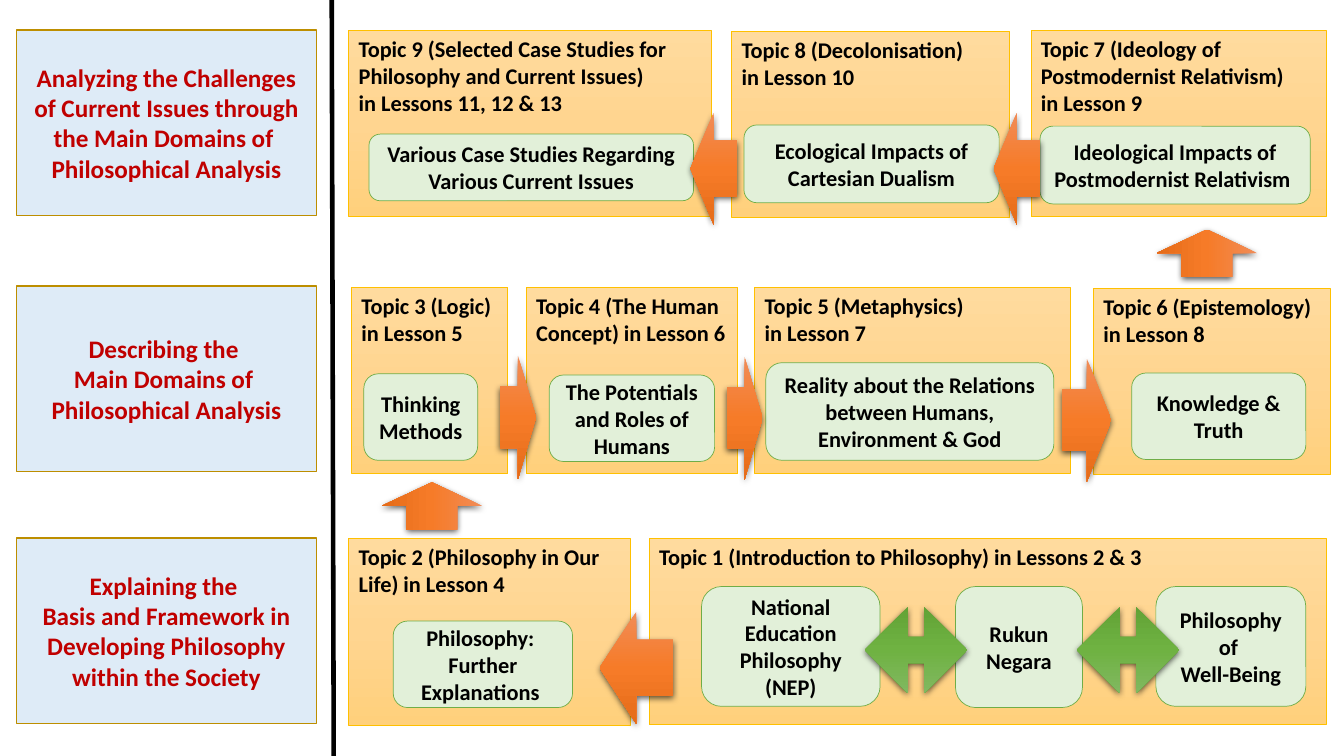
from typing import NamedTuple

from lxml import etree
from pptx import Presentation
from pptx.dml.color import RGBColor
from pptx.enum.shapes import MSO_CONNECTOR, MSO_SHAPE
from pptx.enum.text import MSO_ANCHOR, PP_ALIGN
from pptx.oxml.ns import qn
from pptx.util import Cm, Pt

RECT, ROUND = MSO_SHAPE.RECTANGLE, MSO_SHAPE.ROUNDED_RECTANGLE
LEFT, RIGHT = MSO_SHAPE.LEFT_ARROW, MSO_SHAPE.RIGHT_ARROW
BOTH = MSO_SHAPE.LEFT_RIGHT_ARROW
STRAIGHT = MSO_CONNECTOR.STRAIGHT
TOP, MIDDLE = MSO_ANCHOR.TOP, MSO_ANCHOR.MIDDLE
START, CENTER = PP_ALIGN.LEFT, PP_ALIGN.CENTER

COLORS = {
    "black": "000000", "red": "C00000", "gold": "FFC000", "brown": "BD8E00",
    "blue": "DEEBF7", "mint": "E2F0D9", "green": "70AD47",
}
BLENDS = {
    "amber": ("FFDB9E", "FFD590", "FFD07C"),
    "orange": ("F18C57", "F67B28", "E56C19"),
    "leaf": ("62A336", "6FB242", "81B861"),
}


class Style(NamedTuple):
    form: int
    fill: str
    line: str
    weight: float
    size: int
    ink: str
    anchor: int
    align: int


class Box(NamedTuple):
    style: Style
    left: float
    top: float
    width: float
    height: float
    text: str


class Arrow(NamedTuple):
    form: int
    left: float
    top: float
    width: float
    height: float
    turn: int = 0
    blend: str = "orange"


PANEL = Style(RECT, "blue", "brown", 1, 18, "red", MIDDLE, CENTER)
CARD = Style(RECT, "amber", "gold", 0.5, 16, "black", TOP, START)
PILL = Style(ROUND, "mint", "green", 0.5, 16, "black", MIDDLE, CENTER)

BOXES = [
    Box(PANEL, 0.41, 13.56, 7.57, 4.67,
        "Explaining the \nBasis and Framework in Developing Philosophy within the Society"),
    Box(PANEL, 0.41, 7.21, 7.57, 4.67,
        "Describing the \nMain Domains of \nPhilosophical Analysis"),
    Box(PANEL, 0.41, 0.76, 7.57, 4.67,
        "Analyzing the Challenges of Current Issues through the Main Domains of \n"
        "Philosophical Analysis"),
    Box(CARD, 16.36, 13.56, 17.07, 4.7,
        "Topic 1 (Introduction to Philosophy) in Lessons 2 & 3"),
    Box(PILL, 29.13, 14.78, 3.78, 3.02, "Philosophy of \nWell-Being"),
    Box(PILL, 17.68, 14.78, 4.5, 3.02, "National Education Philosophy (NEP)"),
    Box(PILL, 24.08, 14.78, 3.2, 3.05, "Rukun Negara"),
    Box(CARD, 8.79, 13.56, 7.09, 4.72, "Topic 2 (Philosophy in Our Life) in Lesson 4"),
    Box(PILL, 9.91, 15.65, 4.52, 2.18, "Philosophy: \nFurther Explanations "),
    Box(CARD, 8.86, 7.24, 3.94, 4.7, "Topic 3 (Logic) \nin Lesson 5"),
    Box(PILL, 9.17, 9.42, 2.87, 2.18, "Thinking Methods"),
    Box(CARD, 13.26, 7.24, 5.33, 4.7, "Topic 4 (The Human Concept) in Lesson 6"),
    Box(PILL, 13.84, 9.45, 4.17, 2.18, "The Potentials and Roles of Humans"),
    Box(CARD, 19.02, 7.24, 7.95, 4.7, "Topic 5 (Metaphysics) \nin Lesson 7"),
    Box(PILL, 19.3, 9.14, 7.26, 2.46,
        "Reality about the Relations between Humans, Environment & God"),
    Box(CARD, 27.56, 7.26, 5.97, 4.7, "Topic 6 (Epistemology) in Lesson 8"),
    Box(PILL, 28.52, 9.4, 4.39, 2.18, "Knowledge & Truth"),
    Box(CARD, 25.98, 0.76, 7.44, 4.7,
        "Topic 7 (Ideology of Postmodernist Relativism) \nin Lesson 9"),
    Box(PILL, 26.21, 3.18, 6.81, 1.96,
        "Ideological Impacts of Postmodernist Relativism "),
    Box(CARD, 18.44, 0.79, 7.01, 4.7, "Topic 8 (Decolonisation) \nin Lesson 10"),
    Box(PILL, 18.75, 3.15, 6.43, 1.96, "Ecological Impacts of Cartesian Dualism"),
    Box(CARD, 8.79, 0.76, 9.14, 4.7,
        "Topic 9 (Selected Case Studies for Philosophy and Current Issues) \n"
        "in Lessons 11, 12 & 13"),
    Box(PILL, 9.3, 3.38, 8.18, 1.68,
        "Various Case Studies Regarding Various Current Issues"),
]

ARROWS = [
    Arrow(LEFT, 15.11, 15.42, 1.85, 2.82),
    Arrow(LEFT, 10.29, 11.48, 1.19, 2.54, 90),
    Arrow(RIGHT, 12.6, 8.97, 0.91, 3.1),
    Arrow(RIGHT, 18.31, 8.99, 0.91, 3.1),
    Arrow(RIGHT, 26.77, 9.04, 1.24, 3.1),
    Arrow(LEFT, 29.82, 5.11, 1.19, 2.54, 90),
    Arrow(LEFT, 25.04, 2.84, 1.17, 2.82),
    Arrow(LEFT, 17.4, 2.84, 1.17, 2.82),
    Arrow(BOTH, 21.79, 15.29, 2.59, 2.18, 0, "leaf"),
    Arrow(BOTH, 27.13, 15.29, 2.59, 2.18, 0, "leaf"),
]


def color(name: str) -> RGBColor:
    return RGBColor.from_string(COLORS[name])


def blend(shape, name: str) -> None:
    """Fill the shape with a three-stop gradient running downwards."""
    shape.fill.gradient()
    shape.fill.gradient_angle = 270
    stops = shape._element.spPr.find(".//" + qn("a:gsLst"))
    for old in list(stops):
        stops.remove(old)
    for pos, tone in zip((0, 50000, 100000), BLENDS[name]):
        stop = etree.SubElement(stops, qn("a:gs"), pos=str(pos))
        etree.SubElement(stop, qn("a:srgbClr"), val=tone)


def shade(shape) -> None:
    """Drop a soft shadow just below the shape."""
    effects = shape._element.spPr.find(qn("a:effectLst"))
    outer = etree.SubElement(effects, qn("a:outerShdw"), blurRad=str(Pt(4.5)),
                             dist=str(Pt(1.5)), dir="5400000", algn="ctr",
                             rotWithShape="0")
    tone = etree.SubElement(outer, qn("a:srgbClr"), val=COLORS["black"])
    etree.SubElement(tone, qn("a:alpha"), val="63000")


def place(slide, item: Box | Arrow, form: int):
    shape = slide.shapes.add_shape(form, Cm(item.left), Cm(item.top),
                                   Cm(item.width), Cm(item.height))
    shape.shadow.inherit = False
    return shape


def draw_box(slide, box: Box) -> None:
    style = box.style
    shape = place(slide, box, style.form)
    if style.fill in BLENDS:
        blend(shape, style.fill)
    else:
        shape.fill.solid()
        shape.fill.fore_color.rgb = color(style.fill)
    shape.line.color.rgb = color(style.line)
    shape.line.width = Pt(style.weight)
    frame = shape.text_frame
    frame.word_wrap = True
    frame.vertical_anchor = style.anchor
    para = frame.paragraphs[0]
    para.alignment = style.align
    for row, words in enumerate(box.text.split("\n")):
        if row:
            para.add_line_break()
        run = para.add_run()
        run.text = words
        run.font.name = "Calibri"
        run.font.size = Pt(style.size)
        run.font.bold = True
        run.font.color.rgb = color(style.ink)


def draw_arrow(slide, arrow: Arrow) -> None:
    shape = place(slide, arrow, arrow.form)
    shape.rotation = arrow.turn
    if arrow.form == BOTH:
        shape.adjustments[0] = 0.305
        shape.adjustments[1] = 0.5
    blend(shape, arrow.blend)
    shape.line.fill.background()
    shade(shape)


def draw_rule(slide) -> None:
    rule = slide.shapes.add_connector(STRAIGHT, Cm(8.36), Cm(0), Cm(8.41), Cm(19.05))
    rule.line.color.rgb = color("black")
    rule.line.width = Pt(3.25)
    etree.SubElement(rule._element.spPr, qn("a:effectLst"))


def main() -> None:
    deck = Presentation()
    deck.slide_width, deck.slide_height = Cm(33.87), Cm(19.05)
    slide = deck.slides.add_slide(deck.slide_layouts[6])
    draw_rule(slide)
    for box in BOXES:
        draw_box(slide, box)
    for arrow in ARROWS:
        draw_arrow(slide, arrow)
    deck.save("out.pptx")


if __name__ == "__main__":
    main()
